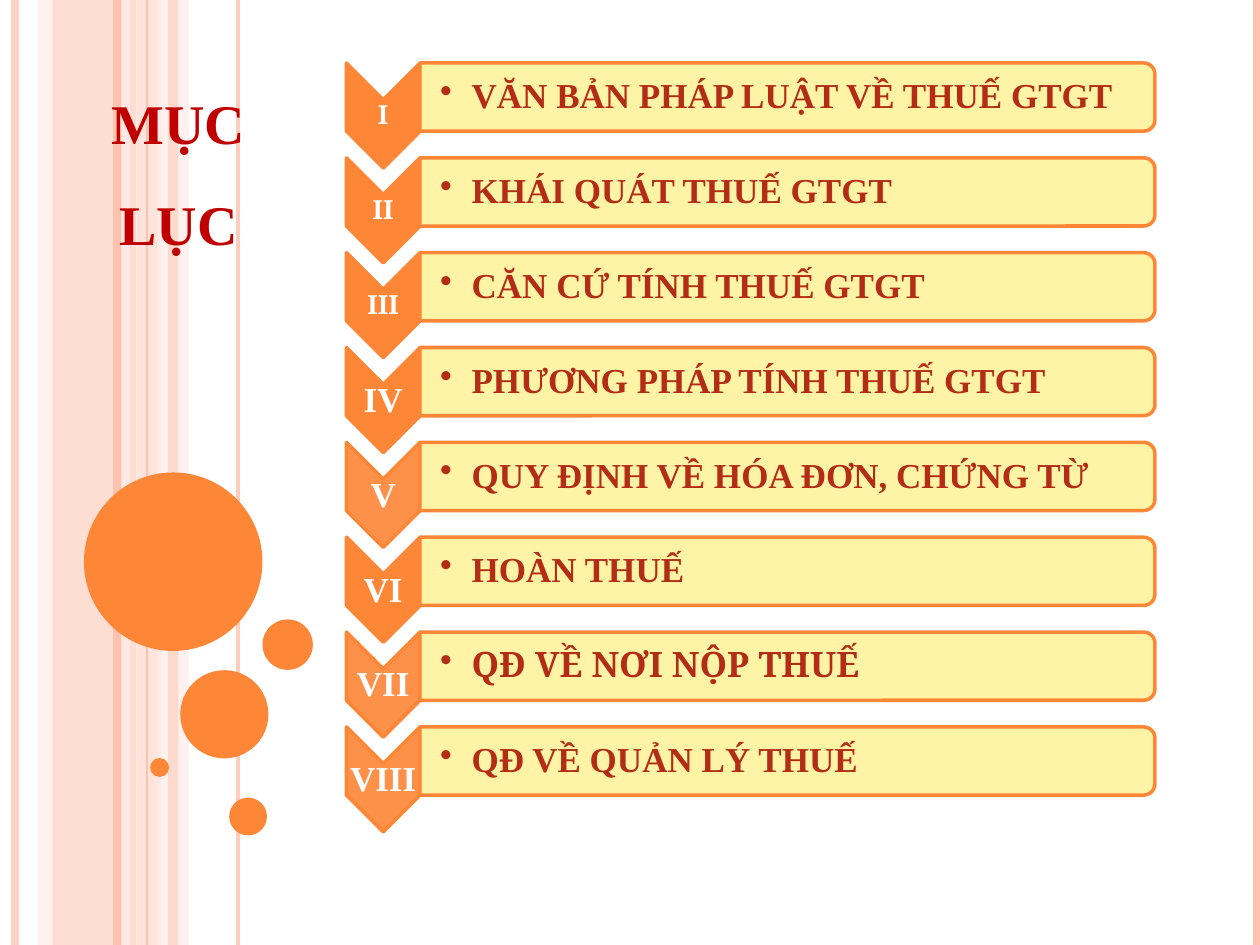
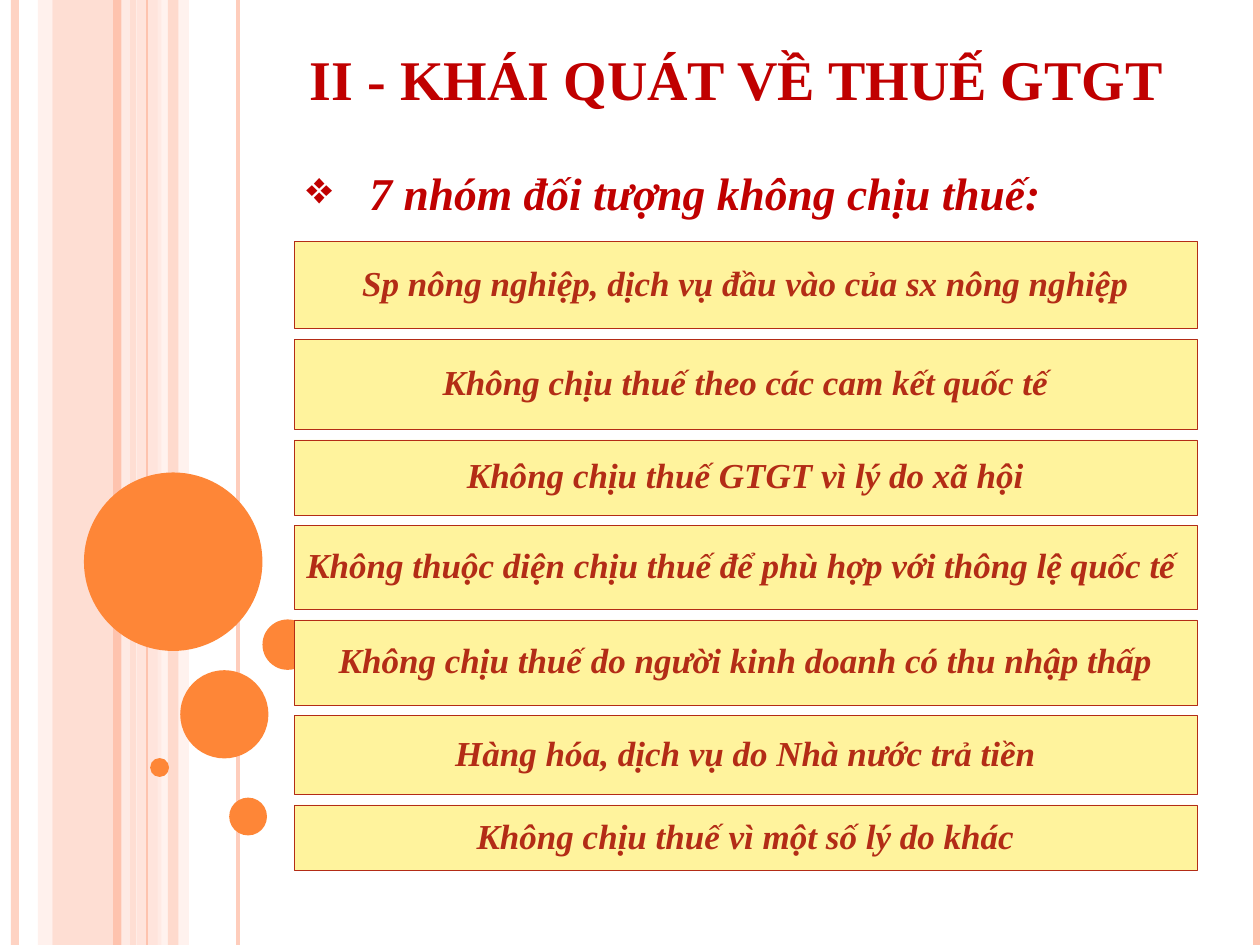
import dataclasses
import lxml.etree
import pptx
import pptx.dml.color
import pptx.enum.shapes
import pptx.enum.text
import pptx.oxml.ns
import pptx.util

Pt = pptx.util.Pt
qn = pptx.oxml.ns.qn
Kind = pptx.enum.shapes.MSO_SHAPE
Align = pptx.enum.text.PP_ALIGN
Mid = pptx.enum.text.MSO_ANCHOR.MIDDLE
Grow = pptx.enum.text.MSO_AUTO_SIZE.SHAPE_TO_FIT_TEXT

WIDE, HIGH = 720, 540
HUES = {
    "peach": "FEC3AE", "pink": "FFD9CE", "pale": "FFEDE8",
    "orange": "FE8637", "cream": "FFF39D", "rust": "B32C16",
    "red": "C00000", "white": "FFFFFF",
}
ROMAN, NOTO = "Times New Roman", "Noto Serif"


@dataclasses.dataclass(frozen=True)
class Box:
    left: float
    top: float
    width: float
    height: float


@dataclasses.dataclass(frozen=True)
class Style:
    size: float
    hue: str
    face: str = ROMAN
    slant: bool = False
    align: Align = Align.LEFT
    space: float = 1.0
    after: float = 0
    mark: str = ""
    indent: float = 0


@dataclasses.dataclass(frozen=True)
class Band:
    left: float
    width: float
    hue: str
    alpha: int


@dataclasses.dataclass(frozen=True)
class Rule:
    left: float
    weight: float
    hue: str = "peach"
    alpha: int = 100


@dataclasses.dataclass(frozen=True)
class Dot:
    left: float
    top: float
    size: float


@dataclasses.dataclass(frozen=True)
class Row:
    label: str
    text: str
    size: float = 20
    alpha: int = 100
    font: str = ROMAN  # number
    face: str = ROMAN  # heading


BANDS = [
    Band(30, 48, "peach", 54), Band(21.7, 8.2, "pink", 36),
    Band(78, 14.2, "pink", 70), Band(90, 18, "pale", 71),
    Band(96, 6, "peach", 51),
]
RULES = [
    Rule(8.5, 4.5, alpha=73), Rule(72, 4.5, "pale", 83), Rule(67, 4.5),
    Rule(136, 2.25, alpha=82), Rule(84, 0.75), Rule(718, 4.5),
]
DOTS = [
    Dot(48, 270, 102), Dot(103, 383, 50.4), Dot(85.8, 433.2, 10.8),
    Dot(131, 455.8, 21.6), Dot(150, 354, 28.8),
]


def paint(hue: str) -> pptx.dml.color.RGBColor:
    return pptx.dml.color.RGBColor.from_string(HUES[hue])


def fade(shape, alpha: int) -> None:
    """Set the opacity of the first colour: a shape's fill or a rule's line."""
    if alpha < 100:
        tint = shape.element.spPr.find(".//" + qn("a:srgbClr"))
        lxml.etree.SubElement(tint, qn("a:alpha"), val=str(alpha * 1000))


def put(obj, items: dict) -> None:
    for name, value in items.items():
        setattr(obj, name, value)


def draw(slide, kind: Kind, box: Box, hue: str, alpha: int = 100,
         edge: str = "", weight: float = 0, turn: float = 0):
    shape = slide.shapes.add_shape(
        kind, Pt(box.left), Pt(box.top), Pt(box.width), Pt(box.height))
    shape.shadow.inherit = False
    shape.rotation = turn
    shape.fill.solid()
    shape.fill.fore_color.rgb = paint(hue)
    if edge:
        shape.line.color.rgb = paint(edge)
        shape.line.width = Pt(weight)
    else:
        shape.line.fill.background()
    fade(shape, alpha)
    return shape


def spin(slide, kind: Kind, box: Box, hue: str, alpha: int) -> None:
    """Draw an edged shape that fills the box after a quarter turn."""
    shift = (box.width - box.height) / 2
    flat = Box(box.left + shift, box.top - shift, box.height, box.width)
    draw(slide, kind, flat, hue, alpha, "orange", 2, 90)


def write(shape, text: str, style: Style, **frame) -> None:
    body = shape.text_frame
    put(body, {"word_wrap": True, **frame})
    para = body.paragraphs[0]
    put(para, {"alignment": style.align, "line_spacing": style.space,
               "space_after": Pt(style.after)})
    run = para.add_run()
    run.text = text
    put(run.font, {"size": Pt(style.size), "name": style.face,
                   "bold": True, "italic": style.slant})
    run.font.color.rgb = paint(style.hue)
    if style.mark:
        props = para._p.get_or_add_pPr()
        props.set("marL", str(Pt(style.indent)))
        props.set("indent", str(-Pt(style.indent)))
        lxml.etree.SubElement(props, qn("a:buChar"), char=style.mark)


def label(slide, box: Box, text: str, style: Style, **frame) -> None:
    shape = slide.shapes.add_textbox(
        Pt(box.left), Pt(box.top), Pt(box.width), Pt(box.height))
    write(shape, text, style, **frame)


def inset(left: float, rest: float) -> dict:
    sides = {f"margin_{side}": Pt(rest) for side in ("top", "right", "bottom")}
    return {"margin_left": Pt(left), "vertical_anchor": Mid, **sides}


def start(deck):
    """Add a blank slide with the shared stripes and dots."""
    slide = deck.slides.add_slide(deck.slide_layouts[6])
    slide.background.fill.solid()
    slide.background.fill.fore_color.rgb = paint("white")
    for band in BANDS:
        draw(slide, Kind.RECTANGLE, Box(band.left, 0, band.width, HIGH),
             band.hue, band.alpha)
    for rule in RULES:
        line = slide.shapes.add_connector(
            pptx.enum.shapes.MSO_CONNECTOR.STRAIGHT,
            Pt(rule.left), Pt(0), Pt(rule.left), Pt(HIGH))
        line.line.color.rgb = paint(rule.hue)
        line.line.width = Pt(rule.weight)
        lxml.etree.SubElement(line.element.spPr, qn("a:effectLst"))
        fade(line, rule.alpha)
    for dot in DOTS:
        draw(slide, Kind.OVAL, Box(dot.left, dot.top, dot.size, dot.size),
             "orange")
    return slide


deck = pptx.Presentation()
deck.slide_width, deck.slide_height = Pt(WIDE), Pt(HIGH)
TITLE = Style(32, "red", align=Align.CENTER)

# Slide 1: contents
ROWS = [
    Row("I", "VĂN BẢN PHÁP LUẬT VỀ THUẾ GTGT", 15, font=NOTO),
    Row("II", "KHÁI QUÁT THUẾ GTGT", 15, font=NOTO),
    Row("III", "CĂN CỨ TÍNH THUẾ GTGT", 15, font=NOTO),
    Row("IV", "PHƯƠNG PHÁP TÍNH THUẾ GTGT"),
    Row("V", "QUY ĐỊNH VỀ HÓA ĐƠN, CHỨNG TỪ", alpha=90),
    Row("VI", "HOÀN THUẾ"),
    Row("VII", "QĐ VỀ NƠI NỘP THUẾ", alpha=90, face=NOTO),
    Row("VIII", "QĐ VỀ QUẢN LÝ THUẾ", alpha=90),
]
PITCH = 54.2
slide = start(deck)
label(slide, Box(36, 28, 132, 116.6), "MỤC LỤC",
      dataclasses.replace(TITLE, space=1.5), auto_size=Grow)
for step, row in enumerate(ROWS):
    top = 36 + step * PITCH
    # Numbered chevron
    spin(slide, Kind.CHEVRON, Box(198, top, 42, 60), "orange", row.alpha)
    label(slide, Box(198, top + 21.5, 42, 18), row.label,
          Style(row.size, "white", row.font, align=Align.CENTER, space=0.9),
          **inset(0.7, 0.7))
    # Heading bar
    spin(slide, Kind.ROUND_2_SAME_RECTANGLE, Box(240, top, 420, 39),
         "cream", 90)
    label(slide, Box(240, top + 2, 418, 35.2), row.text,
          Style(20, "rust", row.face, space=0.9, mark="•", indent=18),
          **inset(11.5, 0.7))

# Slide 2: exempt groups, each with its bar height
GROUPS = [
    ("Sp nông nghiệp, dịch vụ đầu vào của sx nông nghiệp", 49.8),
    ("Không chịu thuế theo các cam kết quốc tế", 51.6),
    ("Không chịu thuế GTGT vì lý do xã hội", 43),
    ("Không thuộc diện chịu thuế để phù hợp với thông lệ quốc tế ", 47.8),
    ("Không chịu thuế do người kinh doanh có thu nhập thấp", 48.8),
    ("Hàng hóa, dịch vụ do Nhà nước trả tiền", 45),
    ("Không chịu thuế vì một số lý do khác", 37.6),
]
GAP = 6
slide = start(deck)
label(slide, Box(158, 22, 526, 46), "II - KHÁI QUÁT VỀ THUẾ GTGT", TITLE,
      auto_size=Grow)
label(slide, Box(168, 91, 516, 39), "7 nhóm đối tượng không chịu thuế:",
      Style(26, "red", slant=True, after=6, mark="❖", indent=36),
      auto_size=Grow)
ITEM = Style(20, "rust", slant=True, align=Align.CENTER, space=0.9)
top = 138
for text, height in GROUPS:
    bar = draw(slide, Kind.RECTANGLE, Box(168, top, 516, height), "cream",
               edge="rust", weight=0.25)
    write(bar, text, ITEM, **inset(4.2, 4.2))
    top += height + GAP

deck.save("out.pptx")
